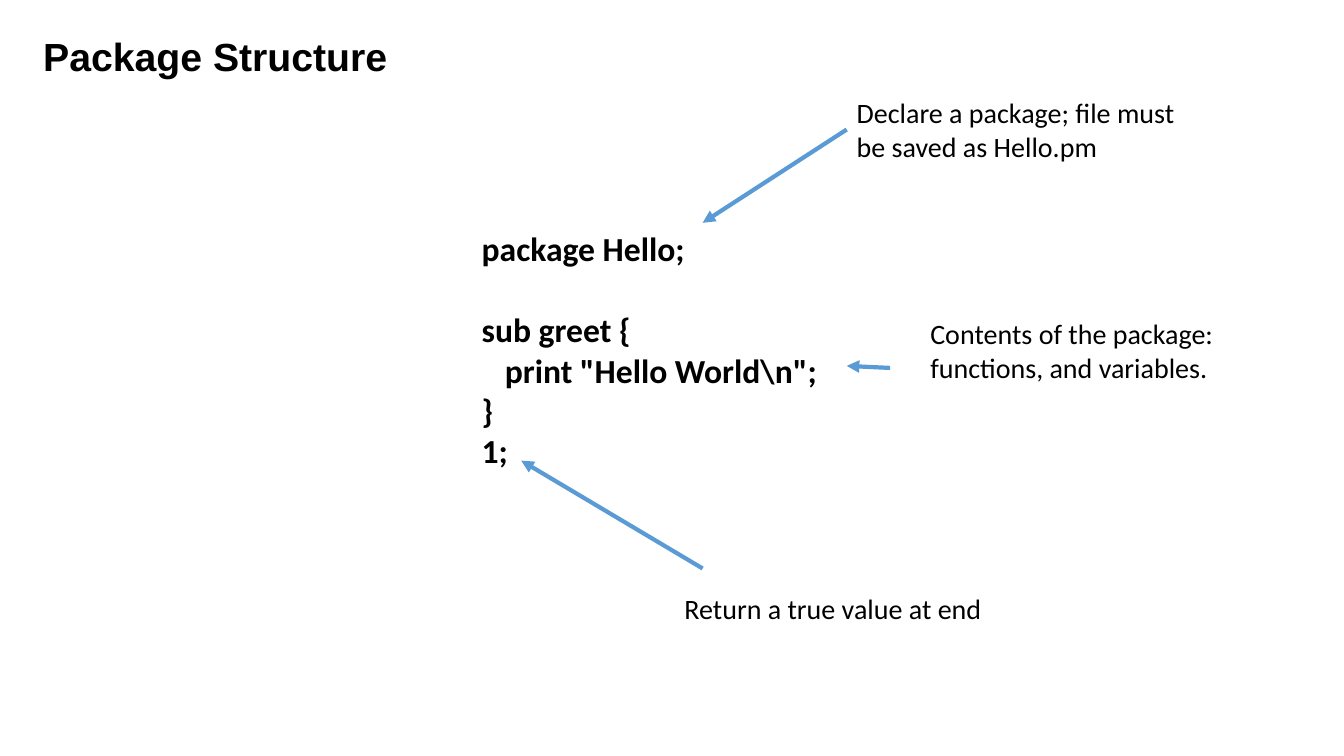
from dataclasses import dataclass

from lxml import etree
from pptx import Presentation, util as u
from pptx.dml.color import RGBColor
from pptx.enum import shapes, text
from pptx.oxml.ns import qn

WIDTH, HEIGHT = u.Inches(13.33), u.Inches(7.5)


@dataclass(frozen=True)
class Theme:
    ink: RGBColor = RGBColor(0x00, 0x00, 0x00)
    arrow: RGBColor = RGBColor(0x5B, 0x9B, 0xD5)
    heading_font: str = "Arial"
    body_font: str = "Calibri"
    heading_size: int = 28
    code_size: int = 24
    note_size: int = 20
    arrow_width: int = 3


THEME = Theme()


def place(x, y):
    """Turn percentages of the slide's width and height into lengths."""
    return u.Emu(round(WIDTH * x / 100)), u.Emu(round(HEIGHT * y / 100))


def add_text(slide, box, lines, font, size, bold=False):
    left, top, width, height = box
    shape = slide.shapes.add_textbox(*place(left, top), *place(width, height))
    frame = shape.text_frame
    frame.word_wrap = True
    frame.auto_size = text.MSO_AUTO_SIZE.SHAPE_TO_FIT_TEXT
    frame.text = "\n".join(lines)
    for paragraph in frame.paragraphs:
        for run in paragraph.runs:
            run.font.name = font
            run.font.size = u.Pt(size)
            run.font.bold = bold
            run.font.color.rgb = THEME.ink
    return shape


def add_arrow(slide, start, tip):
    arrow = slide.shapes.add_connector(
        shapes.MSO_CONNECTOR.STRAIGHT, *place(*start), *place(*tip))
    arrow.line.color.rgb = THEME.arrow
    arrow.line.width = u.Pt(THEME.arrow_width)
    etree.SubElement(arrow.line._get_or_add_ln(), qn("a:tailEnd"), type="triangle")
    etree.SubElement(arrow._element.spPr, qn("a:effectLst"))
    return arrow


def add_title(slide, box):
    add_text(slide, box, ["Package Structure"],
             THEME.heading_font, THEME.heading_size, bold=True)


def add_code(slide, box):
    lines = ["package Hello;", "sub greet {", 'print "Hello World\\n";', "}", "1;"]
    shape = add_text(slide, box, lines, THEME.body_font, THEME.code_size, bold=True)
    _, subroutine, body, *_ = shape.text_frame.paragraphs
    subroutine.space_before = u.Pt(1.22 * THEME.code_size)
    body._p.get_or_add_pPr().set("marL", str(u.Inches(0.23)))


def add_note(slide, box, lines, start, tip):
    """Place a note and its arrow; without a start the arrow leaves the left side."""
    left, top, _, height = box
    note = add_text(slide, box, lines, THEME.body_font, THEME.note_size)
    arrow = add_arrow(slide, start or (left, top + height / 2), tip)
    if start is None:
        arrow.begin_connect(note, 1)


def build_package_slide(presentation):
    slide = presentation.slides.add_slide(presentation.slide_layouts[6])
    add_title(slide, (2.48, 3.6, 29.5, 7.6))
    add_code(slide, (35.1, 29.47, 28.8, 33.6))
    add_note(slide, (63, 12, 28.36, 10.27),
             ["Declare a package; file must", "be saved as Hello.pm"],
             None, (52.28, 29.47))
    add_note(slide, (68.48, 41.2, 24.6, 10.27),
             ["Contents of the package:", "functions, and variables."],
             (66.23, 48.67), (63, 48.4))
    add_note(slide, (50.18, 77.6, 25.58, 5.73),
             ["Return a true value at end"],
             (52.28, 75.2), (38.78, 60.93))


def main():
    presentation = Presentation()
    presentation.slide_width, presentation.slide_height = WIDTH, HEIGHT
    build_package_slide(presentation)
    presentation.save("out.pptx")


if __name__ == "__main__":
    main()
